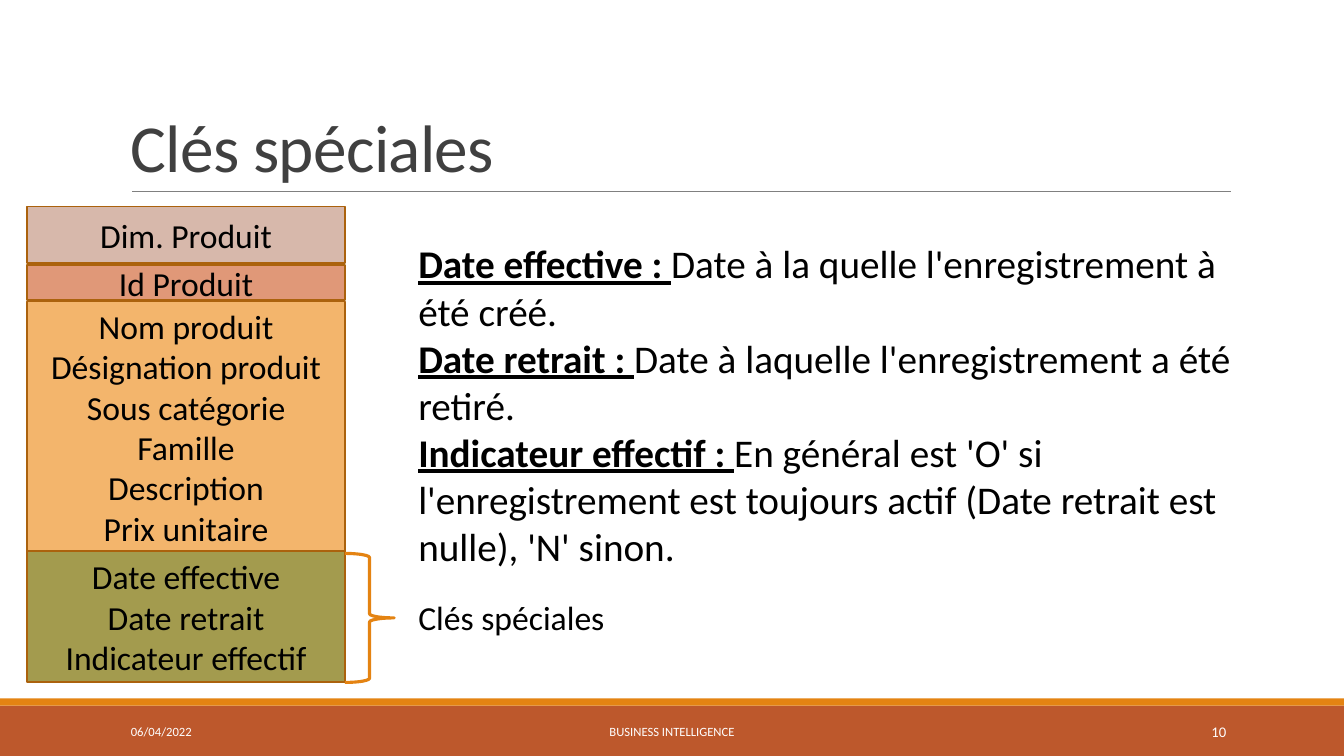
from pptx import Presentation
from pptx.dml.color import RGBColor
from pptx.enum.shapes import MSO_CONNECTOR, MSO_SHAPE
from pptx.enum.text import MSO_ANCHOR, PP_ALIGN
from pptx.oxml.ns import qn
from pptx.util import Inches, Pt
from lxml.etree import SubElement


def color(value):
    """Turn a hex string into a colour."""
    return RGBColor.from_string(value)


class SlideBuilder:
    """Hold the slide and its style, and add each kind of element."""

    font_name = "Calibri"
    ink = "000000"
    white = "FFFFFF"
    orange = "E48312"
    box_edge = "AB620D"

    def __init__(self, slide):
        """Start on the given slide."""
        self.slide = slide
        self.shapes = slide.shapes

    def fill_text(self, shape, paragraphs, size, ink=None, align=PP_ALIGN.LEFT,
                  anchor=MSO_ANCHOR.TOP, line_spacing=None, tracking=None):
        """Fill a shape with paragraphs, each a list of (wording, format) runs."""
        frame = shape.text_frame
        for name, value in {"word_wrap": True, "vertical_anchor": anchor}.items():
            setattr(frame, name, value)
        for index, runs in enumerate(paragraphs):
            paragraph = frame.add_paragraph() if index else frame.paragraphs[0]
            for name, value in {"alignment": align, "line_spacing": line_spacing}.items():
                setattr(paragraph, name, value)
            for wording, extra in runs:
                run = paragraph.add_run()
                run.text = wording
                run.font.color.rgb = color(ink or self.ink)
                for name, value in {"name": self.font_name, "size": Pt(size), **extra}.items():
                    setattr(run.font, name, value)
                if tracking:
                    run._r.get_or_add_rPr().set("spc", str(round(tracking * 100)))

    def text(self, area, paragraphs, size, **style):
        """Add a text box."""
        self.fill_text(self.shapes.add_textbox(*map(Inches, area)), paragraphs, size, **style)

    def shape(self, kind, area, fill=None, edge=None, width=1.25, parent=None):
        """Add a preset shape to the slide or to a group."""
        shape = (parent or self).shapes.add_shape(kind, *map(Inches, area))
        shape.shadow.inherit = False
        if fill:
            shape.fill.solid()
            shape.fill.fore_color.rgb = color(fill)
        else:
            shape.fill.background()
        if edge:
            shape.line.color.rgb = color(edge)
            shape.line.width = Pt(width)
        else:
            shape.line.fill.background()
        return shape

    def rule(self, start, end, edge, width):
        """Add a straight line."""
        line = self.shapes.add_connector(MSO_CONNECTOR.STRAIGHT, *map(Inches, start + end))
        line.line.color.rgb = color(edge)
        line.line.width = Pt(width)
        SubElement(line._element.spPr, qn("a:effectLst"))

    def dimension(self, left, width, sections):
        """Add the grouped sections of a dimension table."""
        group = self.shapes.add_group_shape()
        for top, height, fill, fields in sections:
            section = self.shape(MSO_SHAPE.RECTANGLE, (left, top, width, height),
                                 fill, self.box_edge, parent=group)
            self.fill_text(section, [[(field, {})] for field in fields], 24,
                           align=PP_ALIGN.CENTER, anchor=MSO_ANCHOR.MIDDLE)


def main():
    """Build the slide and save it."""
    deck = Presentation()
    deck.slide_width, deck.slide_height = Inches(13.33), Inches(7.5)
    page = SlideBuilder(deck.slides.add_slide(deck.slide_layouts[6]))

    page.shape(MSO_SHAPE.RECTANGLE, (0, 7, 13.33, 0.5), "BD582C")
    page.shape(MSO_SHAPE.RECTANGLE, (0, 6.93, 13.33, 0.07), page.orange)
    page.rule((1.31, 1.9), (12.21, 1.9), "808080", 0.5)
    page.text((1.2, 0.31, 11, 1.59), [[("Clés spéciales", {})]], 48, ink="404040",
              anchor=MSO_ANCHOR.BOTTOM, line_spacing=0.85, tracking=-0.5)

    footers = [
        (1.2, 2.7, "06/04/2022", 9, PP_ALIGN.LEFT),
        (4.03, 5.27, "BUSINESS INTELLIGENCE", 9, PP_ALIGN.CENTER),
        (10.83, 1.43, "10", 10.5, PP_ALIGN.RIGHT),
    ]
    for left, width, wording, size, align in footers:
        page.text((left, 7.06, width, 0.4), [[(wording, {})]], size, ink=page.white,
                  align=align, anchor=MSO_ANCHOR.MIDDLE)

    special_keys = ["Date effective", "Date retrait", "Indicateur effectif"]
    page.dimension(0.27, 3.15, [
        (2.05, 0.56, "D7B8AB", ["Dim. Produit"]),
        (2.63, 0.35, "E09878", ["Id Produit"]),
        (2.99, 2.49, "F3B56C", ["Nom produit", "Désignation produit", "Sous catégorie",
                                "Famille", "Description", "Prix unitaire"]),
        (5.47, 1.3, "A39B4E", special_keys),
    ])
    page.shape(MSO_SHAPE.RIGHT_BRACE, (3.42, 5.49, 0.49, 1.28), edge=page.orange, width=2.25)
    page.text((4.05, 5.87, 3.05, 0.5), [[("Clés spéciales", {})]], 24)

    meanings = [
        "Date à la quelle l'enregistrement à été créé.",
        "Date à laquelle l'enregistrement a été retiré.",
        "En général est 'O' si l'enregistrement est toujours actif "
        "(Date retrait est nulle), 'N' sinon.",
    ]
    term_format = {"bold": True, "underline": True}
    page.text((4.05, 2.33, 8.58, 3.4),
              [[(f"{key} : ", term_format), (meaning, {})]
               for key, meaning in zip(special_keys, meanings)], 28)

    deck.save("out.pptx")


if __name__ == "__main__":
    main()
